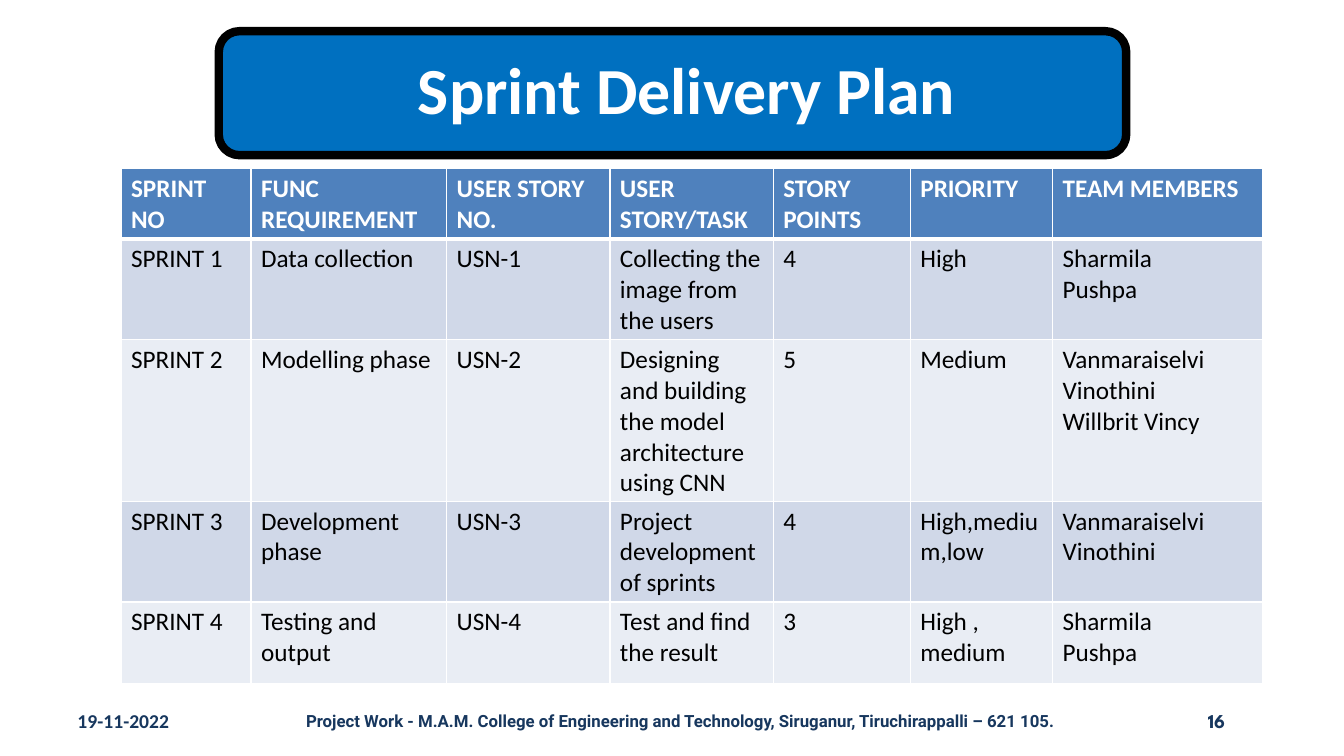
from lxml import etree
from pptx import Presentation
from pptx.dml.color import RGBColor
from pptx.enum.shapes import MSO_SHAPE
from pptx.enum.text import MSO_ANCHOR, MSO_AUTO_SIZE, PP_ALIGN
from pptx.oxml.ns import qn
from pptx.util import Inches, Pt

ROUND = MSO_SHAPE.ROUNDED_RECTANGLE
MIDDLE = MSO_ANCHOR.MIDDLE
NO_FIT = MSO_AUTO_SIZE.NONE
LEFT, CENTER, RIGHT = PP_ALIGN.LEFT, PP_ALIGN.CENTER, PP_ALIGN.RIGHT

WHITE = RGBColor(0xFF, 0xFF, 0xFF)
BLACK = RGBColor(0x00, 0x00, 0x00)
BLUE = RGBColor(0x00, 0x70, 0xC0)
NAVY = RGBColor(0x17, 0x37, 0x5E)
HEAD = RGBColor(0x4F, 0x81, 0xBD)
BANDS = [RGBColor(0xD0, 0xD8, 0xE8), RGBColor(0xE9, 0xED, 0xF4)]

WIDTHS = [1.29, 1.94, 1.62, 1.62, 1.36, 1.41, 2.08]
HEIGHTS = [0.62, 0.88, 1.41, 0.88, 0.81]
PLAN = [
    ["SPRINT NO", "FUNC REQUIREMENT", "USER STORY NO.", "USER STORY/TASK",
     "STORY POINTS", "PRIORITY", "TEAM MEMBERS"],
    ["SPRINT 1", "Data collection", "USN-1",
     "Collecting the image from the users", "4", "High",
     "Sharmila\nPushpa"],
    ["SPRINT 2", "Modelling phase", "USN-2",
     "Designing and building the model architecture using CNN", "5", "Medium",
     "Vanmaraiselvi\nVinothini\nWillbrit Vincy"],
    ["SPRINT 3", "Development phase", "USN-3",
     "Project development of sprints", "4", "High,medium,low",
     "Vanmaraiselvi\nVinothini"],
    ["SPRINT 4", "Testing and output", "USN-4",
     "Test and find the result", "3", "High , medium",
     "Sharmila\nPushpa"],
]


def write(frame, text, size, color, bold=True, face="Calibri", align=LEFT):
    """Fill a text frame, one paragraph for each line of text."""
    for i, line in enumerate(text.split("\n")):
        par = frame.add_paragraph() if i else frame.paragraphs[0]
        par.alignment = align
        run = par.add_run()
        run.text = line
        run.font.name = face
        run.font.size = Pt(size)
        run.font.bold = bold
        run.font.color.rgb = color


def place(shape, left, top, width, height):
    shape.left, shape.top = Inches(left), Inches(top)
    shape.width, shape.height = Inches(width), Inches(height)


def add_title(slide, text):
    banner = slide.shapes.add_shape(
        ROUND, Inches(2.17), Inches(0.31), Inches(9), Inches(1.23))
    banner.shadow.inherit = False
    banner.fill.solid()
    banner.fill.fore_color.rgb = BLUE
    banner.line.color.rgb = BLACK
    banner.line.width = Pt(6)

    title = slide.shapes.title
    title.element.addprevious(banner.element)
    place(title, 2.23, 0.37, 8.88, 1.11)
    frame = title.text_frame
    frame.auto_size = NO_FIT
    frame.vertical_anchor = MIDDLE
    frame.margin_left = Inches(0.49)
    frame.margin_right = frame.margin_top = frame.margin_bottom = Inches(0.2)
    write(frame, text, 47, WHITE, align=CENTER)
    frame.paragraphs[0].line_spacing = 0.9


def add_note(slide, left, width, text, size, face, align):
    """Add one text of the bottom line."""
    box = slide.shapes.add_textbox(
        Inches(left), Inches(6.95), Inches(width), Inches(0.4))
    frame = box.text_frame
    frame.word_wrap = True
    frame.vertical_anchor = MIDDLE
    write(frame, text, size, NAVY, face=face, align=align)


def add_edge(cell, side, width):
    props = cell._tc.get_or_add_tcPr()
    line = etree.SubElement(props, qn("a:ln" + side), w=str(Pt(width)))
    fill = etree.SubElement(line, qn("a:solidFill"))
    etree.SubElement(fill, qn("a:srgbClr"), val=str(WHITE))


def add_plan(slide):
    frame = slide.shapes.add_table(
        len(PLAN), len(WIDTHS), Inches(1.2), Inches(1.67),
        Inches(sum(WIDTHS)), Inches(sum(HEIGHTS)))
    table = frame.table
    table.horz_banding = False
    for col, width in zip(table.columns, WIDTHS):
        col.width = Inches(width)
    for r, (row, height) in enumerate(zip(table.rows, HEIGHTS)):
        row.height = Inches(height)
        top = r == 0
        edges = {"L": 1, "R": 1, "T": 3 if r == 1 else 1, "B": 3 if top else 1}
        for cell, text in zip(row.cells, PLAN[r]):
            for side, width in edges.items():
                add_edge(cell, side, width)
            cell.fill.solid()
            cell.fill.fore_color.rgb = HEAD if top else BANDS[(r - 1) % 2]
            write(cell.text_frame, text, 18, WHITE if top else BLACK, bold=top)


def main():
    deck = Presentation()
    deck.slide_width, deck.slide_height = Inches(13.33), Inches(7.5)
    slide = deck.slides.add_slide(deck.slide_layouts.get_by_name("Title Only"))
    add_title(slide, "Sprint Delivery Plan")
    add_note(slide, 0.67, 3.11, "19-11-2022", 14, "Calibri", LEFT)
    add_note(slide, 2, 9.5,
             "Project Work - M.A.M. College of Engineering and Technology, "
             "Siruganur, Tiruchirappalli – 621 105.", 12, "Roboto", CENTER)
    add_note(slide, 9.56, 2.69, "16", 14, "League Spartan", RIGHT)
    add_plan(slide)
    deck.save("out.pptx")


if __name__ == "__main__":
    main()
